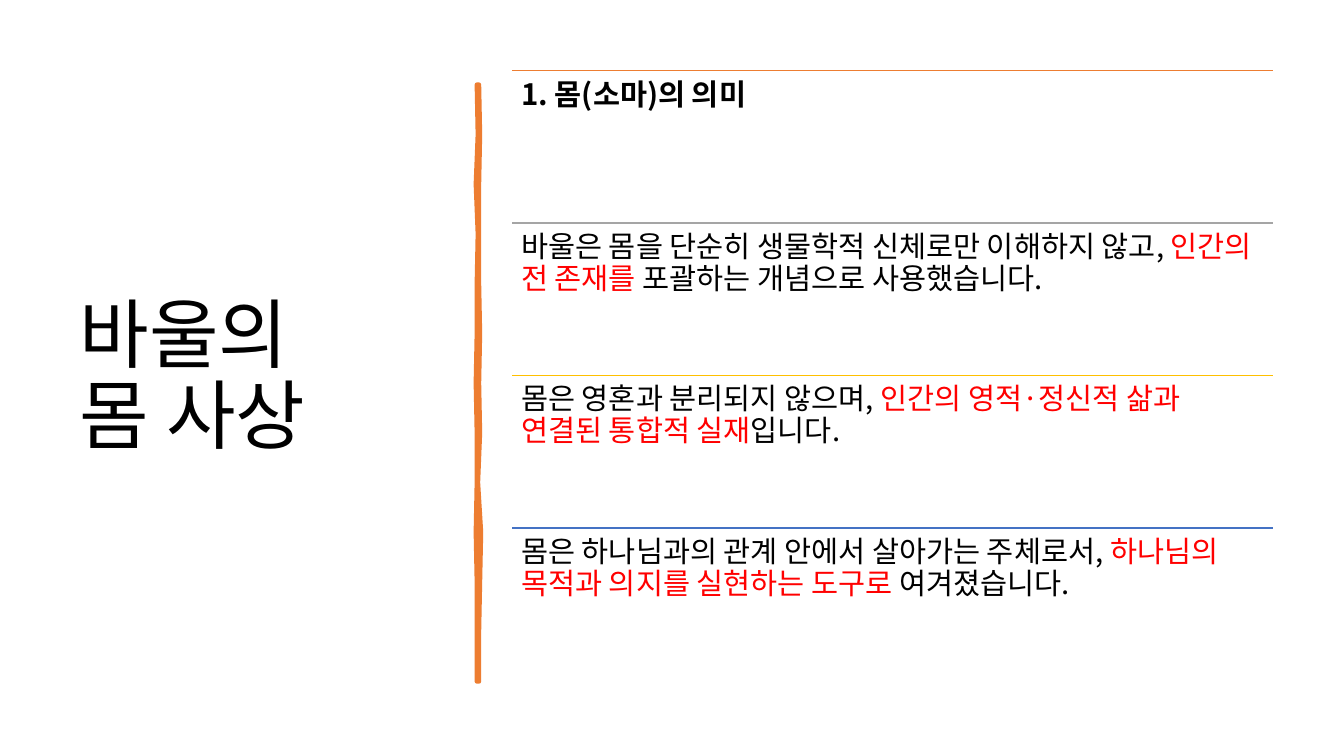
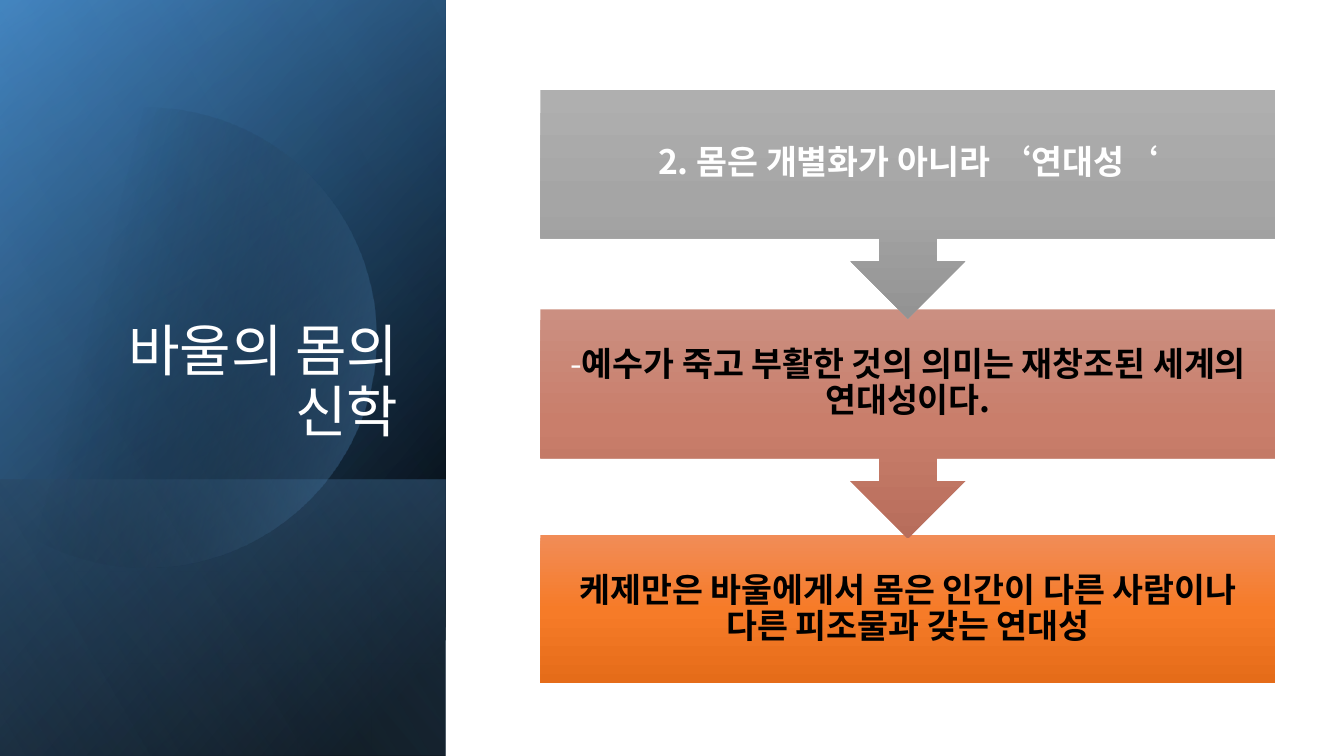
import math
from dataclasses import dataclass

from lxml import etree
from pptx import Presentation
from pptx.dml.color import RGBColor
from pptx.enum.shapes import MSO_CONNECTOR, MSO_SHAPE
from pptx.enum.text import MSO_ANCHOR, MSO_AUTO_SIZE, PP_ALIGN
from pptx.oxml.ns import qn
from pptx.util import Inches, Pt

RECTANGLE = MSO_SHAPE.RECTANGLE
ARROW_BOX = MSO_SHAPE.DOWN_ARROW_CALLOUT
STRAIGHT = MSO_CONNECTOR.STRAIGHT
TOP, MIDDLE, BOTTOM = MSO_ANCHOR.TOP, MSO_ANCHOR.MIDDLE, MSO_ANCHOR.BOTTOM
LEFT, CENTER, RIGHT = PP_ALIGN.LEFT, PP_ALIGN.CENTER, PP_ALIGN.RIGHT

# Shared style
SLIDE_WIDTH, SLIDE_HEIGHT = 13.33, 7.5
FONT = "Noto Sans CJK KR"
BLACK, WHITE, RED = "000000", "FFFFFF", "FF0000"
ORANGE, GRAY, GOLD, BLUE = "ED7D31", "A5A5A5", "FFC000", "4472C4"
SKY = "5B9BD5"
TITLE_ONLY = 5


@dataclass(frozen=True)
class Box:
    left: float
    top: float
    width: float
    height: float

    def emu(self) -> tuple:
        return tuple(Inches(n) for n in (self.left, self.top, self.width, self.height))


@dataclass(frozen=True)
class Run:
    text: str
    color: str = BLACK
    bold: bool = False


@dataclass(frozen=True)
class Stop:
    position: int
    color: str
    opacity: int = 100


@dataclass(frozen=True)
class Row:
    line_color: str
    runs: tuple[Run, ...]


@dataclass(frozen=True)
class Step:
    top: float
    shades: tuple[str, str, str]
    runs: tuple[Run, ...]


@dataclass(frozen=True)
class Layer:
    box: Box
    angle: int
    stops: tuple[Stop, ...]


# Slide 1: ruled rows and the hand-drawn divider
ROWS_BOX = Box(5.08, 0.7, 7.55, 6.05)
ROWS = (
    Row(ORANGE, (Run("1. 몸(소마)의 의미", bold=True),)),
    Row(GRAY, (Run("바울은 몸을 단순히 생물학적 신체로만 이해하지 않고, "),
               Run("인간의 전 존재를 ", RED),
               Run("포괄하는 개념으로 사용했습니다."))),
    Row(GOLD, (Run("몸은 영혼과 분리되지 않으며, "),
               Run("인간의 영적·정신적 삶과 연결된 통합적 실재", RED),
               Run("입니다."))),
    Row(BLUE, (Run("몸은 하나님과의 관계 안에서 살아가는 주체로서, "),
               Run("하나님의 목적과 의지를 실현하는 도구로 ", RED),
               Run("여겨졌습니다."))),
)
DIVIDER = Box(4.73, 0.84, 0.02, 5.92)
LEFT_WOBBLE = (0, 0.01, -0.01, 0.01, 0, 0, -0.01, 0, 0, -0.01, 0, 0, 0)
RIGHT_WOBBLE = (0, 0.01, 0, 0, 0, 0.01, 0, 0.01, -0.01, 0.02, 0.01, 0, 0)

# Slide 2: gradient panel and the flow of steps
PANEL = Box(0, 0, 4.42, SLIDE_HEIGHT)
PANEL_BASE = Box(0, 4.76, PANEL.width, SLIDE_HEIGHT - 4.76)
BACK_LAYERS = (
    Layer(PANEL, 220, (Stop(8, BLACK), Stop(100, "2E75B6"))),
    Layer(PANEL, 240, (Stop(0, BLACK, 0), Stop(99, SKY, 46))),
    Layer(PANEL_BASE, 140, (Stop(2, SKY, 29), Stop(100, BLACK, 30))),
)
FRONT_LAYER = Layer(PANEL, 150, (Stop(0, BLACK, 0), Stop(99, "9DC3E6", 11)))
DISC_X, DISC_Y, DISC_RADIUS = 1.45, 3.35, 2.28
STEP_LEFT, STEP_WIDTH, STEP_HEIGHT, ARROW_STEP_HEIGHT = 5.36, 7.29, 1.47, 2.27
STEPS = (
    Step(0.89, ("AFAFAF", "A5A5A5", "939393"),
         (Run("2. 몸은 개별화가 아니라 ‘연대성‘", WHITE, True),)),
    Step(3.07, ("CB8F81", "C97E6B", "B76D5B"),
         (Run("-", WHITE),
          Run("예수가 죽고 부활한 것의 의미는 재창조된 세계의 연대성이다.", bold=True))),
    Step(5.31, ("F18C57", "F67B28", "E56C19"),
         (Run("케제만은 바울에게서 몸은 인간이 다른 사람이나 다른 피조물과 갖는 연대성",
              bold=True),)),
)


def rgb(color: str) -> RGBColor:
    return RGBColor.from_string(color)


def write_text(shape, runs: tuple[Run, ...], *, size: float, align=LEFT, anchor=TOP,
               margins: tuple[float, float] = (0.1, 0.05)) -> None:
    """Write one paragraph; margins are horizontal and vertical."""
    frame = shape.text_frame
    frame.word_wrap = True
    frame.auto_size = MSO_AUTO_SIZE.NONE
    frame.vertical_anchor = anchor
    frame.margin_left = frame.margin_right = Inches(margins[0])
    frame.margin_top = frame.margin_bottom = Inches(margins[1])
    paragraph = frame.paragraphs[0]
    paragraph.alignment = align
    paragraph.line_spacing = 0.9
    for index, item in enumerate(runs):
        for part_index, part in enumerate(item.text.split("\n")):
            if part_index:
                paragraph.add_line_break()
            run = paragraph.add_run()
            run.text = part
            run.font.size = Pt(size)
            run.font.bold = item.bold
            run.font.name = FONT
            run.font.color.rgb = rgb(item.color)
            east_asian = etree.SubElement(run.font._element, qn("a:ea"))
            east_asian.set("typeface", FONT)


def fill_gradient(shape, angle: int, stops: tuple[Stop, ...]) -> None:
    """Give a borderless shape a linear gradient."""
    shape.shadow.inherit = False
    shape.line.fill.background()
    shape.fill.background()
    old_fill = shape._element.spPr.find(qn("a:noFill"))
    gradient = etree.Element(qn("a:gradFill"), rotWithShape="1")
    stop_list = etree.SubElement(gradient, qn("a:gsLst"))
    for stop in stops:
        entry = etree.SubElement(stop_list, qn("a:gs"), pos=str(stop.position * 1000))
        color = etree.SubElement(entry, qn("a:srgbClr"), val=stop.color)
        if stop.opacity < 100:
            etree.SubElement(color, qn("a:alpha"), val=str(stop.opacity * 1000))
    etree.SubElement(gradient, qn("a:lin"), ang=str(angle * 60000), scaled="0")
    old_fill.getparent().replace(old_fill, gradient)


def add_outline(slide, points: list[tuple[float, float]]):
    builder = slide.shapes.build_freeform(
        Inches(points[0][0]), Inches(points[0][1]), scale=1.0)
    builder.add_line_segments([(Inches(x), Inches(y)) for x, y in points[1:]], close=True)
    shape = builder.convert_to_shape()
    shape.shadow.inherit = False
    return shape


def add_rule(slide, left: float, top: float, width: float, color: str) -> None:
    rule = slide.shapes.add_connector(
        STRAIGHT, Inches(left), Inches(top), Inches(left + width), Inches(top))
    rule.line.color.rgb = rgb(color)
    rule.line.width = Pt(1)
    etree.SubElement(rule._element.spPr, qn("a:effectLst"))


def add_layer(slide, layer: Layer) -> None:
    shape = slide.shapes.add_shape(RECTANGLE, *layer.box.emu())
    fill_gradient(shape, layer.angle, layer.stops)


def place_title(slide, text: str, box: Box, *, color: str, size: float,
                align, anchor) -> None:
    title = slide.shapes.title
    title.left, title.top, title.width, title.height = box.emu()
    # Bring the title in front of the panel
    slide.shapes._spTree.append(title._element)
    write_text(title, (Run(text, color),), size=size, align=align, anchor=anchor)


def add_divider(slide) -> None:
    step = DIVIDER.height / (len(LEFT_WOBBLE) - 1)
    left_edge = [(DIVIDER.left + shift, DIVIDER.top + index * step)
                 for index, shift in enumerate(LEFT_WOBBLE)]
    right_edge = [(DIVIDER.left + DIVIDER.width + shift, DIVIDER.top + index * step)
                  for index, shift in enumerate(RIGHT_WOBBLE)]
    stroke = add_outline(slide, right_edge + left_edge[::-1])
    stroke.fill.solid()
    stroke.fill.fore_color.rgb = rgb(ORANGE)
    stroke.line.color.rgb = rgb(ORANGE)
    stroke.line.width = Pt(3.25)


def add_disc(slide) -> None:
    """Draw the circle, cut off at the slide's left edge."""
    limit = math.acos(-DISC_X / DISC_RADIUS)
    count = 120
    angles = [limit * (2 * index / count - 1) for index in range(count + 1)]
    disc = add_outline(slide, [(DISC_X + DISC_RADIUS * math.cos(angle),
                                DISC_Y + DISC_RADIUS * math.sin(angle))
                               for angle in angles])
    fill_gradient(disc, 14, (Stop(29, BLACK, 0), Stop(100, SKY, 43)))


def build_meaning_slide(presentation) -> None:
    slide = presentation.slides.add_slide(presentation.slide_layouts[TITLE_ONLY])
    place_title(slide, "바울의 \n몸 사상", Box(0.69, 0.7, 3.74, 6.11),
                color=BLACK, size=54, align=LEFT, anchor=MIDDLE)
    add_divider(slide)
    row_height = ROWS_BOX.height / len(ROWS)
    for index, row in enumerate(ROWS):
        box = Box(ROWS_BOX.left, ROWS_BOX.top + index * row_height,
                  ROWS_BOX.width, row_height)
        add_rule(slide, box.left, box.top, box.width, row.line_color)
        write_text(slide.shapes.add_textbox(*box.emu()), row.runs,
                   size=21, margins=(0.09, 0.09))


def build_solidarity_slide(presentation) -> None:
    slide = presentation.slides.add_slide(presentation.slide_layouts[TITLE_ONLY])
    for layer in BACK_LAYERS:
        add_layer(slide, layer)
    add_disc(slide)
    add_layer(slide, FRONT_LAYER)
    place_title(slide, "바울의 몸의 신학", Box(0.64, 1.84, 3.41, 2.62),
                color=WHITE, size=40, align=RIGHT, anchor=BOTTOM)
    # Last step first, so that each arrow tip lies over the next box
    for step in reversed(STEPS):
        is_last = step is STEPS[-1]
        height = STEP_HEIGHT if is_last else ARROW_STEP_HEIGHT
        shape = slide.shapes.add_shape(
            RECTANGLE if is_last else ARROW_BOX,
            *Box(STEP_LEFT, step.top, STEP_WIDTH, height).emu())
        fill_gradient(shape, 90, tuple(Stop(index * 50, shade)
                                       for index, shade in enumerate(step.shades)))
        write_text(shape, step.runs, size=24, align=CENTER, anchor=MIDDLE,
                   margins=(0.19, 0.19))


def main() -> None:
    presentation = Presentation()
    presentation.slide_width = Inches(SLIDE_WIDTH)
    presentation.slide_height = Inches(SLIDE_HEIGHT)
    build_meaning_slide(presentation)
    build_solidarity_slide(presentation)
    presentation.save("out.pptx")


if __name__ == "__main__":
    main()
